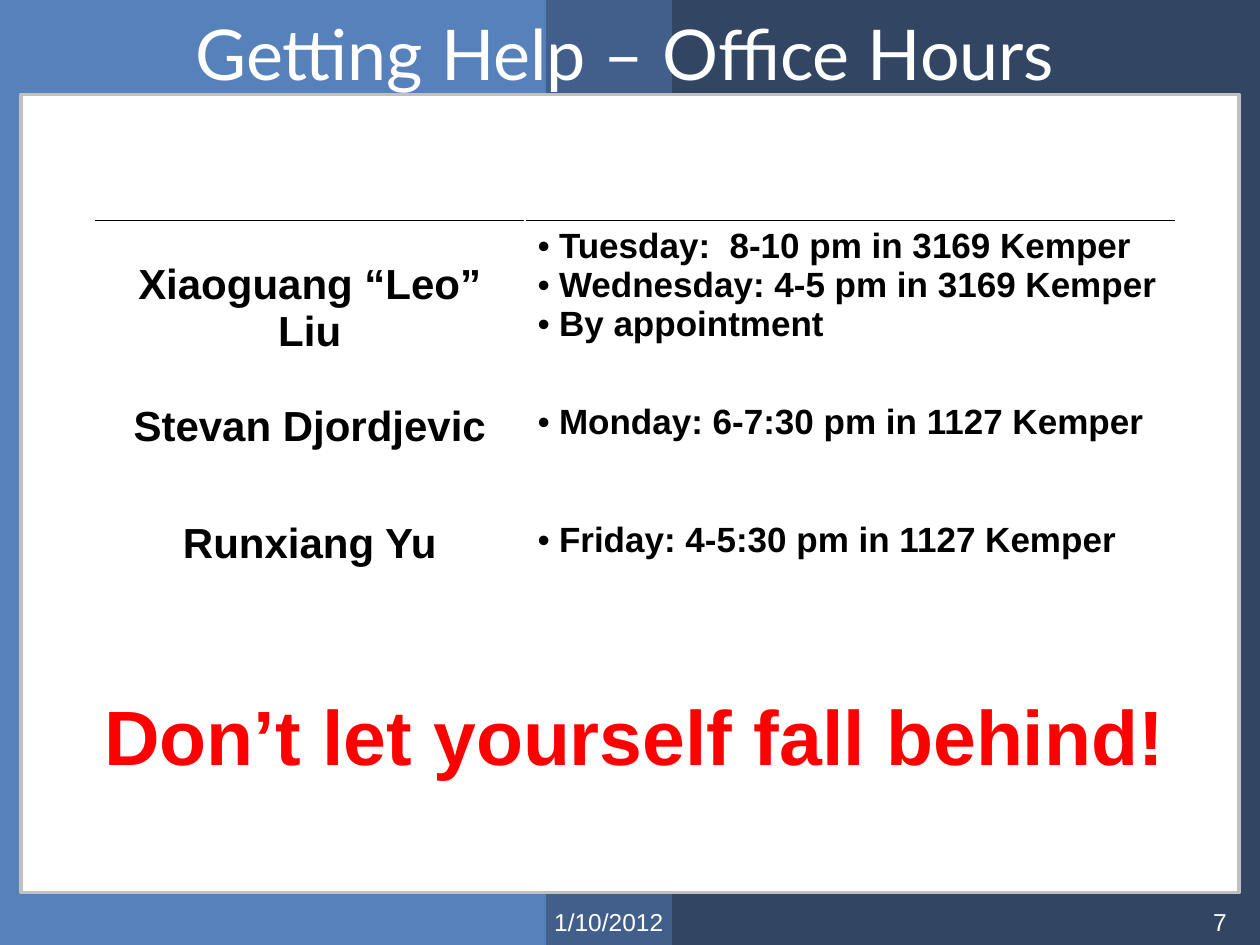
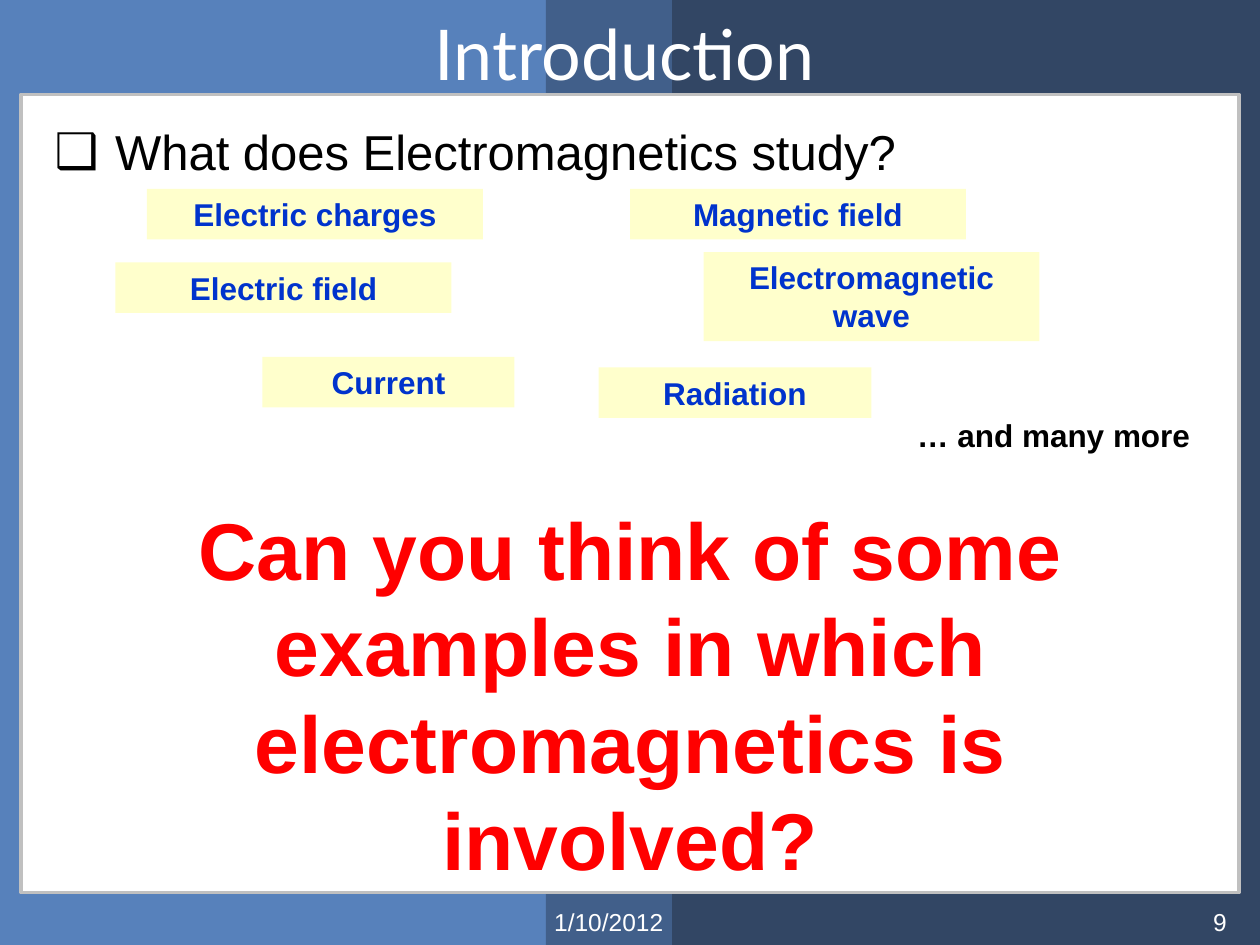
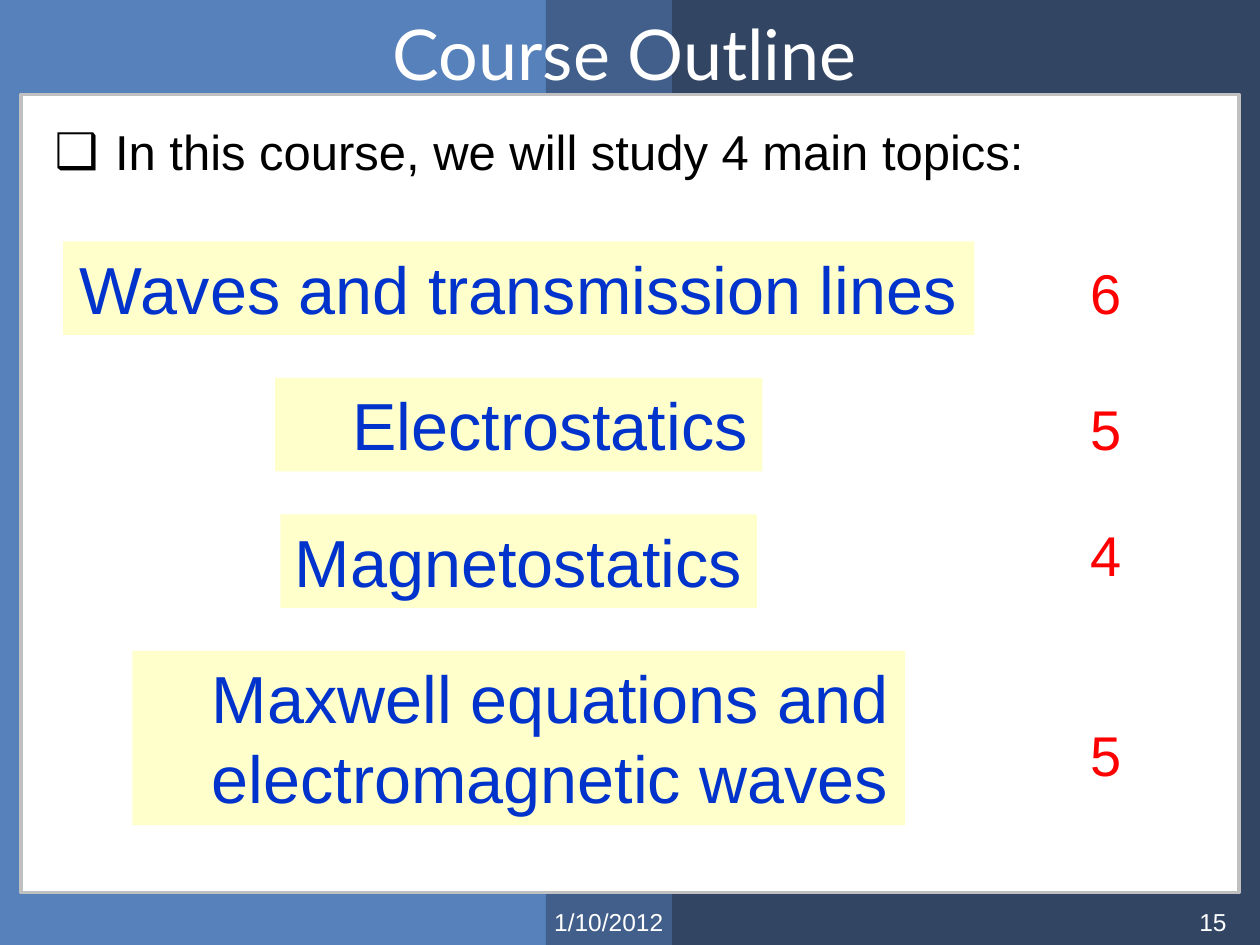
from lxml.etree import SubElement
from pptx import Presentation
from pptx.dml.color import RGBColor
from pptx.enum.shapes import MSO_SHAPE
from pptx.enum.text import MSO_ANCHOR, MSO_AUTO_SIZE, PP_ALIGN
from pptx.oxml.ns import qn
from pptx.util import Inches, Pt


class Theme:
    font, head = "Arial", "Lato"
    white, black, red, blue = "FFFFFF", "000000", "FF0000", "0033CC"
    cream, frame = "FFFFCC", "C0C0C0"
    bands = [(0, 52, "5781BB"), (52, 12, "415F8A"), (64, 56, "324664")]
    title, body, foot, label = 40, 28, 14, 18
    name, slot, topic, count = 24, 20, 38, 32
    alert, ask = 44, 46


# Places are left, top, width, height on a grid of 12 units to the inch.
WIDE, HIGH = 120, 90
PANEL = (2, 9, 116, 76)
TITLE = (4, 1, 111, 8)
BODY = (4, 11, 110, 10)
DATE = (51.6, 85.8, 13, 4.2)
PAGE = (90, 85.8, 28, 4.2)

DAY = "1/10/2012"

HELP = [
    ("Xiaoguang “Leo” Liu", [
        "Tuesday:  8-10 pm in 3169 Kemper",
        "Wednesday: 4-5 pm in 3169 Kemper",
        "By appointment",
    ]),
    ("Stevan Djordjevic", ["Monday: 6-7:30 pm in 1127 Kemper"]),
    ("Runxiang Yu", ["Friday: 4-5:30 pm in 1127 Kemper"]),
]
HELP_AT, HELP_COLS, HELP_ROWS = (9, 21), (41, 62), (16.8, 11.2, 10)
ALERT = "Don’t let yourself fall behind!"

STUDY = "What does Electromagnetics study?"
FIELDS = [  # text, left, top, width, height
    ("Electric charges", 14, 18, 32, 4.8),
    ("Electric field", 11, 25, 32, 4.8),
    ("Magnetic field", 60, 18, 32, 4.8),
    ("Current", 25, 34, 24, 4.8),
    ("Electromagnetic wave", 67, 24, 32, 8.5),
    ("Radiation", 57, 35, 26, 4.8),
]
MORE = "… and many more"
ASK = "Can you think of some examples in which electromagnetics is involved?"

PLAN = "In this course, we will study 4 main topics:"
TOPICS = [  # lines, width, height, indent in inches, hours, top of hours
    (["Waves and transmission lines"], 86.8, 8.9, 0, "6", 24),
    (["Electrostatics"], 46.4, 8.9, 0.5, "5", 37),
    (["Magnetostatics"], 45.4, 8.9, 0, "4", 49),
    (["Maxwell equations and", "electromagnetic waves"],
     73.6, 16.6, 0.5, "5", 68),
]
TOPIC_MID, TOPIC_TOP, TOPIC_STEP = 49.4, 23, 13


def grid(*units):
    return [Inches(unit / 12) for unit in units]


def color(code):
    return RGBColor.from_string(code)


def bullet(para, mark, hang):
    """Add a bullet whose text hangs at the given inches."""
    props = para._p.get_or_add_pPr()
    props.set("marL", str(Inches(hang)))
    props.set("indent", str(-Inches(hang)))
    SubElement(props, qn("a:buFont")).set("typeface", Theme.font)
    SubElement(props, qn("a:buChar")).set("char", mark)


def write(frame, lines, size, tint, bold=False, align=PP_ALIGN.CENTER,
          font=Theme.font, indent=0, mark=None):
    frame.text = "\n".join(lines)
    for para in frame.paragraphs:
        para.alignment = align
        para.space_before = Pt(0)
        if mark:
            bullet(para, mark, indent)
        elif indent:
            para._p.get_or_add_pPr().set("marL", str(Inches(indent)))
        for run in para.runs:
            run.font.name, run.font.size = font, Pt(size)
            run.font.bold = bold
            run.font.color.rgb = color(tint)


def block(slide, place, fill):
    shape = slide.shapes.add_shape(MSO_SHAPE.RECTANGLE, *grid(*place))
    shape.shadow.inherit = False
    shape.fill.solid()
    shape.fill.fore_color.rgb = color(fill)
    shape.line.fill.background()
    return shape


def note(slide, lines, place, size, tint, fill=None, wrap=True, **style):
    """Put text in a plain box, or in a filled one if a fill is given."""
    if fill:
        box = block(slide, place, fill)
    else:
        box = slide.shapes.add_textbox(*grid(*place))
    frame = box.text_frame
    frame.word_wrap = wrap
    frame.vertical_anchor = MSO_ANCHOR.TOP
    write(frame, lines, size, tint, **style)


def fill_holder(holder, text, place, size, tint, **style):
    holder.left, holder.top, holder.width, holder.height = grid(*place)
    holder.text_frame.auto_size = MSO_AUTO_SIZE.NONE
    write(holder.text_frame, [text], size, tint, **style)


def dress(deck, slide):
    """Draw the bands and panel, then move them to the slide master."""
    parts = [block(slide, (left, 0, width, HIGH), fill)
             for left, width, fill in Theme.bands]
    panel = block(slide, PANEL, Theme.white)
    panel.line.color.rgb = color(Theme.frame)
    panel.line.width = Pt(2.25)
    tree = deck.slide_master.shapes.element
    for spot, part in enumerate(parts + [panel]):
        part.element.nvSpPr.cNvPr.id = 20 + spot
        tree.insert(2 + spot, part.element)


def start(deck, title, page, body=None):
    slide = deck.slides.add_slide(deck.slide_layouts[1 if body else 5])
    fill_holder(slide.shapes.title, title, TITLE, Theme.title, Theme.white,
                font=Theme.head)
    if body:
        fill_holder(slide.placeholders[1], body, BODY, Theme.body,
                    Theme.black, align=PP_ALIGN.LEFT, indent=0.48, mark="❑")
    note(slide, [DAY], DATE, Theme.foot, Theme.white, wrap=False,
         align=PP_ALIGN.LEFT)
    note(slide, [page], PAGE, Theme.foot, Theme.white, align=PP_ALIGN.RIGHT)
    return slide


def top_line(cell):
    line = SubElement(cell._tc.get_or_add_tcPr(), qn("a:lnT"), w=str(Pt(1)))
    fill = SubElement(line, qn("a:solidFill"))
    SubElement(fill, qn("a:srgbClr"), val=Theme.black)


def help_table(slide):
    size = sum(HELP_COLS), sum(HELP_ROWS)
    table = slide.shapes.add_table(len(HELP), 2,
                                   *grid(*HELP_AT, *size)).table
    table.first_row = table.horz_banding = False
    for col, width in zip(table.columns, grid(*HELP_COLS)):
        col.width = width
    for row, height in zip(table.rows, grid(*HELP_ROWS)):
        row.height = height
    for cell in table.rows[0].cells:
        top_line(cell)
    for cell in table.iter_cells():
        cell.fill.background()
    for row, (name, slots) in zip(table.rows, HELP):
        left, right = row.cells
        write(left.text_frame, [name], Theme.name, Theme.black, bold=True)
        write(right.text_frame, slots, Theme.slot, Theme.black, bold=True,
              align=PP_ALIGN.LEFT, indent=0.17, mark="•")
    table.cell(0, 0).vertical_anchor = MSO_ANCHOR.MIDDLE


def office(deck):
    slide = start(deck, "Getting Help – Office Hours", "7")
    dress(deck, slide)
    note(slide, [ALERT], (6, 65, 109, 10), Theme.alert, Theme.red, bold=True)
    help_table(slide)


def intro(deck):
    slide = start(deck, "Introduction", "9", STUDY)
    for text, *place in FIELDS:
        note(slide, [text], place, Theme.label, Theme.blue, Theme.cream,
             bold=True)
    note(slide, [MORE], (86, 39, 28.7, 4.8), Theme.label, Theme.black,
         wrap=False, bold=True)
    note(slide, [ASK], (8, 47, 104, 38.4), Theme.ask, Theme.red, bold=True)


def outline(deck):
    slide = start(deck, "Course Outline", "15", PLAN)
    for spot, (lines, width, height, indent, hours, top) in enumerate(TOPICS):
        place = (TOPIC_MID - width / 2, TOPIC_TOP + spot * TOPIC_STEP,
                 width, height)
        note(slide, lines, place, Theme.topic, Theme.blue, Theme.cream,
             wrap=False, indent=indent)
        note(slide, [hours], (102.6, top, 5.4, 7.7), Theme.count, Theme.red,
             wrap=False)


def main():
    deck = Presentation()
    deck.slide_width, deck.slide_height = grid(WIDE, HIGH)
    office(deck)
    intro(deck)
    outline(deck)
    deck.save("out.pptx")


if __name__ == "__main__":
    main()
